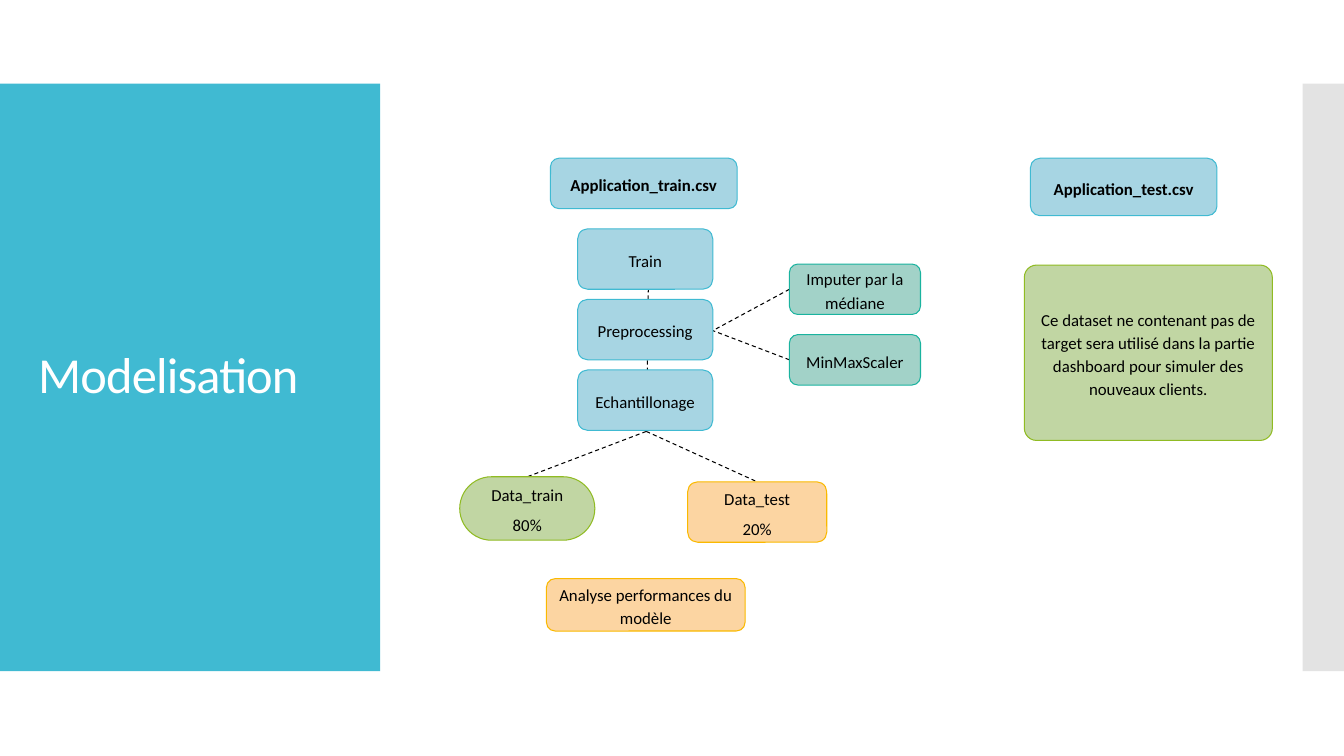
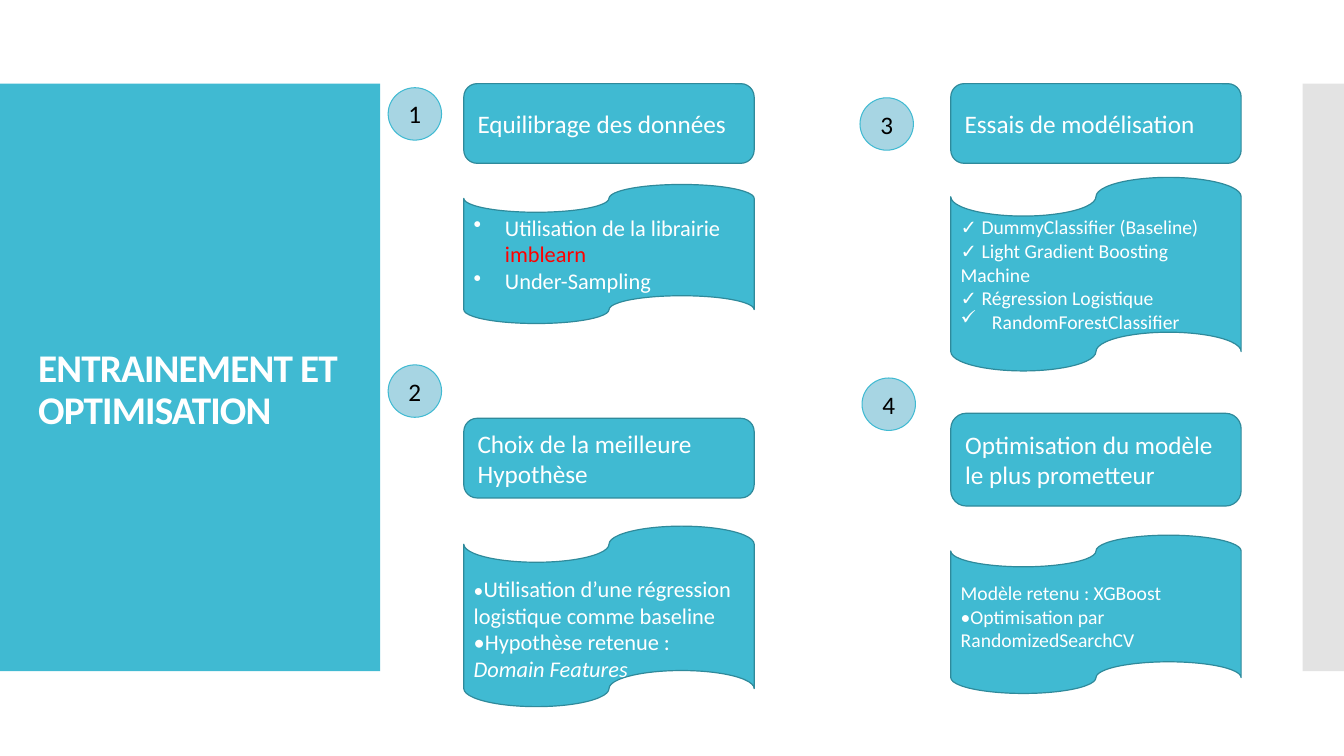
from dataclasses import dataclass
from typing import NamedTuple, Optional

from lxml import etree
from pptx import Presentation
from pptx.dml.color import RGBColor
from pptx.enum.dml import MSO_LINE
from pptx.enum.shapes import MSO_CONNECTOR, MSO_SHAPE
from pptx.enum.text import MSO_ANCHOR, PP_ALIGN
from pptx.oxml.ns import qn
from pptx.util import Inches, Pt

RECT = MSO_SHAPE.RECTANGLE
ROUND = MSO_SHAPE.ROUNDED_RECTANGLE
TAPE = MSO_SHAPE.FLOWCHART_PUNCHED_TAPE
CIRCLE = MSO_SHAPE.OVAL
STRAIGHT = MSO_CONNECTOR.STRAIGHT
DASH = MSO_LINE.DASH
MIDDLE = MSO_ANCHOR.MIDDLE
LEFT, CENTER = PP_ALIGN.LEFT, PP_ALIGN.CENTER

FONT = "Calibri"
COLORS = {
    "teal": "40BAD2", "teal_dark": "2F8A9B", "sky": "A7D5E3",
    "green": "C1D6A3", "green_dark": "90BB23",
    "orange": "FCD5A2", "orange_dark": "FAB900",
    "mint": "A2D2C8", "mint_dark": "1AB39F",
    "gray": "C8C8C8", "white": "FFFFFF", "black": "000000", "red": "FF0000",
}


class Style(NamedTuple):
    fill: str
    line: str
    text: str
    weight: float = 0.75


SKY = Style("sky", "teal", "black")
GREEN = Style("green", "green_dark", "black")
ORANGE = Style("orange", "orange_dark", "black")
MINT = Style("mint", "mint_dark", "black")
TEAL = Style("teal", "teal_dark", "white", 0.85)


class Span(NamedTuple):
    text: str
    bold: bool = False
    italic: bool = False
    color: Optional[str] = None
    size: Optional[float] = None


class Para(NamedTuple):
    spans: tuple[Span, ...]
    bullet: str = ""


class Spacing(NamedTuple):
    line: float = 1.0
    before: float = 0
    after: float = 0


FLOW = Spacing(1.15, 5, 10)
STACKED = Spacing(1.15, 5)


@dataclass
class Block:
    left: float
    top: float
    width: float
    height: float
    style: Style
    paras: list[Para]
    size: float = 12
    shape: int = ROUND
    align: int = CENTER
    spacing: Spacing = FLOW
    corner: Optional[float] = None
    text_drop: float = 0  # how far the text sits below the middle


def plain(*lines: str, bold: bool = False) -> list[Para]:
    return [Para((Span(line, bold),)) for line in lines]


def rgb(name: str) -> RGBColor:
    return RGBColor.from_string(COLORS[name])


def add_para(para, content: Para, color: str, size: float, align=LEFT,
             spacing=Spacing(), tracking: float = 0) -> None:
    para.alignment = align
    para.line_spacing = spacing.line
    para.space_before, para.space_after = Pt(spacing.before), Pt(spacing.after)
    if content.bullet:
        properties = para._p.get_or_add_pPr()
        properties.set("marL", str(Inches(0.31)))
        properties.set("indent", str(-Inches(0.31)))
        etree.SubElement(properties, qn("a:buChar")).set("char", content.bullet)
    for span in content.spans:
        run = para.add_run()
        run.text = span.text
        run.font.name = FONT
        run.font.size = Pt(span.size or size)
        run.font.bold, run.font.italic = span.bold, span.italic
        run.font.color.rgb = rgb(span.color or color)
        if tracking:
            run._r.get_or_add_rPr().set("spc", str(round(tracking * 100)))


def add_block(page, block: Block) -> None:
    box = page.shapes.add_shape(
        block.shape, Inches(block.left), Inches(block.top),
        Inches(block.width), Inches(block.height))
    box.shadow.inherit = False
    box.fill.solid()
    box.fill.fore_color.rgb = rgb(block.style.fill)
    box.line.color.rgb = rgb(block.style.line)
    box.line.width = Pt(block.style.weight)
    if block.corner is not None:
        box.adjustments[0] = block.corner
    frame = box.text_frame
    frame.word_wrap = True
    frame.vertical_anchor = MIDDLE
    frame.margin_top = Inches(0.05 + 2 * block.text_drop)
    for index, content in enumerate(block.paras):
        para = frame.add_paragraph() if index else frame.paragraphs[0]
        add_para(para, content, block.style.text, block.size, block.align, block.spacing)


def add_link(page, x1: float, y1: float, x2: float, y2: float) -> None:
    link = page.shapes.add_connector(
        STRAIGHT, Inches(x1), Inches(y1), Inches(x2), Inches(y2))
    link.line.color.rgb = rgb("black")
    link.line.width = Pt(0.75)
    link.line.dash_style = DASH
    etree.SubElement(link._element.spPr, qn("a:effectLst"))


def add_band(page, left: float, width: float, color: str, opacity: int = 100) -> None:
    band = page.shapes.add_shape(
        RECT, Inches(left), Inches(0.83), Inches(width), Inches(5.83))
    band.shadow.inherit = False
    band.fill.solid()
    band.fill.fore_color.rgb = rgb(color)
    band.line.fill.background()
    if opacity < 100:
        tint = band._element.spPr.find(qn("a:solidFill"))[0]
        etree.SubElement(tint, qn("a:alpha")).set("val", str(opacity * 1000))


def add_page(deck, title: Span, top: float, width: float):
    """Blank page with the two side bands and the title."""
    page = deck.slides.add_slide(deck.slide_layouts[6])
    add_band(page, 0, 3.77, "teal")
    add_band(page, 12.92, 0.42, "gray", 50)
    box = page.shapes.add_textbox(Inches(0.28), Inches(top), Inches(width), Inches(5.03))
    frame = box.text_frame
    frame.word_wrap = True
    frame.vertical_anchor = MIDDLE
    add_para(frame.paragraphs[0], Para((title,)), "white", 36,
             spacing=Spacing(0.9), tracking=-0.6)
    return page


def build_modelling(deck) -> None:
    page = add_page(deck, Span("Modelisation"), 1.23, 3.22)

    # Dashed links, behind the boxes
    fork, split = (7.07, 3.28), (6.41, 4.28)
    add_link(page, 6.43, 2.86, 6.42, 3.69)
    for end in ((7.83, 2.87), (7.83, 3.57)):
        add_link(page, *end, *fork)
    for end in ((5.23, 4.73), (7.51, 4.78)):
        add_link(page, *split, *end)

    # Steps, one under the other
    steps = [Block(5.73, 2.27 + 0.7 * row, 1.34, 0.6, SKY, plain(name))
             for row, name in enumerate(("Train", "Preprocessing", "Echantillonage"))]
    # Treatments beside the preprocessing step
    treatments = [Block(7.83, 2.62 + 0.7 * row, 1.3, 0.5, MINT, plain(name))
                  for row, name in enumerate(("Imputer par la médiane", "MinMaxScaler"))]
    others = [
        # Source files
        Block(5.46, 1.57, 1.85, 0.5, SKY, plain("Application_train.csv", bold=True)),
        Block(10.22, 1.57, 1.85, 0.57, SKY, plain("Application_test.csv", bold=True)),
        # Samples and analysis
        Block(4.56, 4.73, 1.34, 0.63, GREEN, plain("Data_train", "80%"),
              spacing=STACKED, corner=0.5),
        Block(6.82, 4.78, 1.38, 0.6, ORANGE, plain("Data_test", "20%"), spacing=STACKED),
        Block(5.42, 5.74, 1.97, 0.52, ORANGE,
              plain("Analyse performances du modèle"), spacing=STACKED),
        # Remark on the test file
        Block(10.16, 2.63, 2.46, 1.74, GREEN, plain(
            "Ce dataset ne contenant pas de target sera utilisé dans la partie "
            "dashboard pour simuler des nouveaux clients."), corner=0.07),
    ]
    for block in steps + treatments + others:
        add_block(page, block)


class Stage(NamedTuple):
    column: float
    circle: tuple[float, float]
    head: tuple[float, float]  # top, height
    heading: list[Para]
    tape: tuple[float, float]  # top, height
    details: list[Para]
    size: float
    text_drop: float = 0


STAGES = [
    Stage(4.6, (3.85, 0.87), (0.83, 0.79), plain("Equilibrage des données"),
          (1.83, 1.38),
          [Para((Span("Utilisation de la librairie "), Span("imblearn", color="red")), "•"),
           Para((Span("Under-Sampling"),), "•")], 16),
    Stage(4.6, (3.85, 3.62), (4.15, 0.79), plain("Choix de la meilleure", "Hypothèse"),
          (5.22, 1.79),
          [Para((Span("•", size=14),
                 Span("Utilisation d’une régression logistique comme baseline"))),
           Para((Span("•Hypothèse retenue : "), Span("Domain Features", italic=True)))],
          16, 0.12),
    Stage(9.43, (8.53, 0.97), (0.83, 0.79), plain("Essais de modélisation"),
          (1.76, 1.92),
          plain("✓ DummyClassifier (Baseline)", "✓ Light Gradient Boosting Machine",
                "✓ Régression Logistique")
          + [Para((Span("RandomForestClassifier"),), "✓")], 14),
    Stage(9.43, (8.55, 3.75), (4.1, 0.92),
          plain("Optimisation du modèle le plus prometteur"), (5.31, 1.57),
          plain("Modèle retenu : XGBoost", "•Optimisation par RandomizedSearchCV"),
          14, 0.02),
]


def build_training(deck) -> None:
    page = add_page(deck, Span("ENTRAINEMENT ET OPTIMISATION", bold=True, size=28),
                    1.36, 3.36)
    for number, stage in enumerate(STAGES, 1):
        add_block(page, Block(*stage.circle, 0.53, 0.52, SKY, plain(str(number)), 18,
                              CIRCLE, spacing=Spacing()))
        head_top, head_height = stage.head
        add_block(page, Block(stage.column, head_top, 2.88, head_height, TEAL,
                              stage.heading, 18, ROUND, LEFT, Spacing()))
        tape_top, tape_height = stage.tape
        add_block(page, Block(stage.column, tape_top, 2.88, tape_height, TEAL,
                              stage.details, stage.size, TAPE, LEFT, Spacing(),
                              text_drop=stage.text_drop))


def main() -> None:
    deck = Presentation()
    deck.slide_width, deck.slide_height = Inches(13.33), Inches(7.5)
    build_modelling(deck)
    build_training(deck)
    deck.save("out.pptx")


if __name__ == "__main__":
    main()
